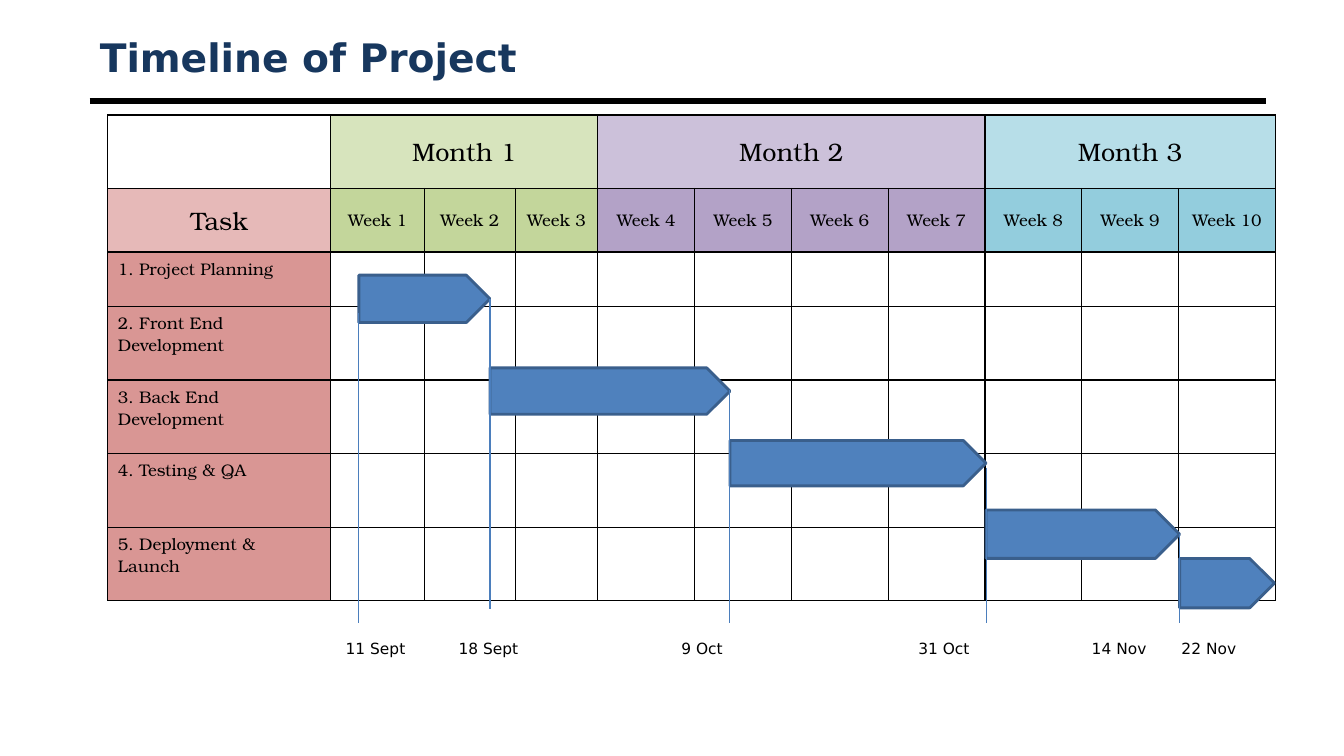
from dataclasses import dataclass
from itertools import pairwise

from lxml import etree
from pptx import Presentation
from pptx import util as u
from pptx.dml.color import RGBColor
from pptx.enum import shapes, text
from pptx.oxml.ns import qn


@dataclass(frozen=True)
class Theme:
    sans: str = "DejaVu Sans"
    serif: str = "TeX Gyre Bonum"
    ink: str = "000000"
    title: str = "17375E"
    task_head: str = "E6B9B8"
    task: str = "D99694"
    bar: str = "4F81BD"
    bar_edge: str = "3A5F8C"
    marker: str = "4B7EBC"
    title_size: float = 28
    head_size: float = 18
    body_size: float = 12
    date_size: float = 11


THEME = Theme()
# name, number of weeks, month fill, week fill
MONTHS = [
    ("Month 1", 3, "D7E4BD", "C3D69B"),
    ("Month 2", 4, "CCC1DA", "B3A2C7"),
    ("Month 3", 3, "B7DEE8", "93CDDD"),
]
TASKS = ["1. Project Planning", "2. Front End Development", "3. Back End Development",
         "4. Testing & QA", "5. Deployment & Launch"]
COLUMN_WIDTHS = [2.21, 0.93, 0.9, 0.82] + [0.96] * 7
ROW_HEIGHTS = [0.73, 0.63, 0.54] + [0.73] * 4
MILESTONES = [3.56, 4.86, 7.24, 9.78, 11.7, 12.64]
# top and height of each bar, then top and bottom of the marker at its start
BARS = [
    (2.73, 0.47, 3.11, 6.18),
    (3.65, 0.46, 2.97, 6.04),
    (4.37, 0.45, 3.87, 6.18),
    (5.06, 0.48, 4.64, 6.18),
    (5.54, 0.49, 5.3, 6.18),
]
DATES = ["11 Sept", "18 Sept", "9 Oct", "31 Oct", "14 Nov", "22 Nov"]
DATE_STOPS = [1.12, 3.33, 5.68, 7.4, 8.29]


def rgb(value):
    return RGBColor.from_string(value)


class TimelineSlide:
    def __init__(self, deck, theme):
        self.theme = theme
        self.slide = deck.slides.add_slide(deck.slide_layouts[5])

    def set_words(self, frame, words, size, color, face, bold=False, align=text.PP_ALIGN.LEFT):
        frame.text = words
        paragraph = frame.paragraphs[0]
        paragraph.alignment = align
        font = paragraph.runs[0].font
        for name, value in {"size": u.Pt(size), "name": face, "bold": bold}.items():
            setattr(font, name, value)
        font.color.rgb = rgb(color)
        return paragraph

    def title(self, words, left, top, width, height):
        heading = self.slide.shapes.title
        place = {"left": left, "top": top, "width": width, "height": height}
        for name, value in place.items():
            setattr(heading, name, u.Inches(value))
        frame = heading.text_frame
        frame.vertical_anchor = text.MSO_ANCHOR.MIDDLE
        frame.auto_size = text.MSO_AUTO_SIZE.NONE
        self.set_words(frame, words, self.theme.title_size, self.theme.title,
                       self.theme.sans, bold=True)

    def line(self, x1, y1, x2, y2, color, weight):
        rule = self.slide.shapes.add_connector(
            shapes.MSO_CONNECTOR.STRAIGHT, *map(u.Inches, (x1, y1, x2, y2)))
        rule.line.color.rgb = rgb(color)
        rule.line.width = u.Pt(weight)
        etree.SubElement(rule._element.spPr, qn("a:effectLst"))

    def bar(self, left, top, width, height):
        arrow = self.slide.shapes.add_shape(
            shapes.MSO_SHAPE.PENTAGON, *map(u.Inches, (left, top, width, height)))
        arrow.shadow.inherit = False
        arrow.fill.solid()
        arrow.fill.fore_color.rgb = rgb(self.theme.bar)
        arrow.line.color.rgb = rgb(self.theme.bar_edge)
        arrow.line.width = u.Pt(2)

    def dates(self, labels, stops, left, top, width, height):
        """One row of labels, set on tab stops measured from the text's left edge."""
        box = self.slide.shapes.add_textbox(*map(u.Inches, (left, top, width, height)))
        box.text_frame.word_wrap = True
        row = self.set_words(box.text_frame, "\t".join(labels), self.theme.date_size,
                             self.theme.ink, self.theme.sans)
        tabs = etree.SubElement(row._p.get_or_add_pPr(), qn("a:tabLst"))
        for stop in stops:
            etree.SubElement(tabs, qn("a:tab"), pos=str(u.Inches(stop)), algn="l")

    def grid(self, left, top, widths, heights):
        frame = self.slide.shapes.add_table(
            len(heights), len(widths),
            *map(u.Inches, (left, top, sum(widths), sum(heights))))
        table = frame.table
        table.first_row = table.horz_banding = False
        for column, width in zip(table.columns, widths):
            column.width = u.Inches(width)
        for row, height in zip(table.rows, heights):
            row.height = u.Inches(height)
        for cell in table.iter_cells():
            self.border(cell)
            cell.fill.background()
        return table

    def border(self, cell):
        properties = cell._tc.get_or_add_tcPr()
        for side in ("lnL", "lnR", "lnT", "lnB"):
            edge = etree.SubElement(properties, qn(f"a:{side}"), w=str(u.Pt(1)))
            fill = etree.SubElement(edge, qn("a:solidFill"))
            etree.SubElement(fill, qn("a:srgbClr"), val=self.theme.ink)

    def cell(self, cell, words, fill, size, centred=True):
        cell.fill.solid()
        cell.fill.fore_color.rgb = rgb(fill)
        cell.vertical_anchor = text.MSO_ANCHOR.MIDDLE if centred else text.MSO_ANCHOR.TOP
        self.set_words(cell.text_frame, words, size, self.theme.ink, self.theme.serif,
                       align=text.PP_ALIGN.CENTER if centred else text.PP_ALIGN.LEFT)

    def schedule(self):
        theme = self.theme
        table = self.grid(1.07, 1.14, COLUMN_WIDTHS, ROW_HEIGHTS)
        week = 1
        for month, weeks, month_fill, week_fill in MONTHS:
            head = table.cell(0, week)
            head.merge(table.cell(0, week + weeks - 1))
            self.cell(head, month, month_fill, theme.head_size)
            for number in range(week, week + weeks):
                self.cell(table.cell(1, number), f"Week {number}", week_fill, theme.body_size)
            week += weeks
        self.cell(table.cell(1, 0), "Task", theme.task_head, theme.head_size)
        for row, task in enumerate(TASKS, start=2):
            self.cell(table.cell(row, 0), task, theme.task, theme.body_size, centred=False)


def main():
    deck = Presentation()
    deck.slide_width, deck.slide_height = u.Inches(13.33), u.Inches(7.5)
    timeline = TimelineSlide(deck, THEME)
    timeline.line(0.89, 1, 12.56, 1, THEME.ink, 4.5)
    timeline.title("Timeline of Project", 0.89, 0.3, 11.67, 0.53)
    timeline.schedule()
    spans = list(pairwise(MILESTONES))
    for (start, end), (top, height, _, _) in zip(spans, BARS):
        timeline.bar(start, top, end - start, height)
    for (start, _), (_, _, marker_top, marker_bottom) in zip(spans, BARS):
        timeline.line(start, marker_top, start, marker_bottom, THEME.marker, 0.75)
    timeline.dates(DATES, DATE_STOPS, 3.33, 6.29, 9.73, 0.29)
    deck.save("out.pptx")


if __name__ == "__main__":
    main()
